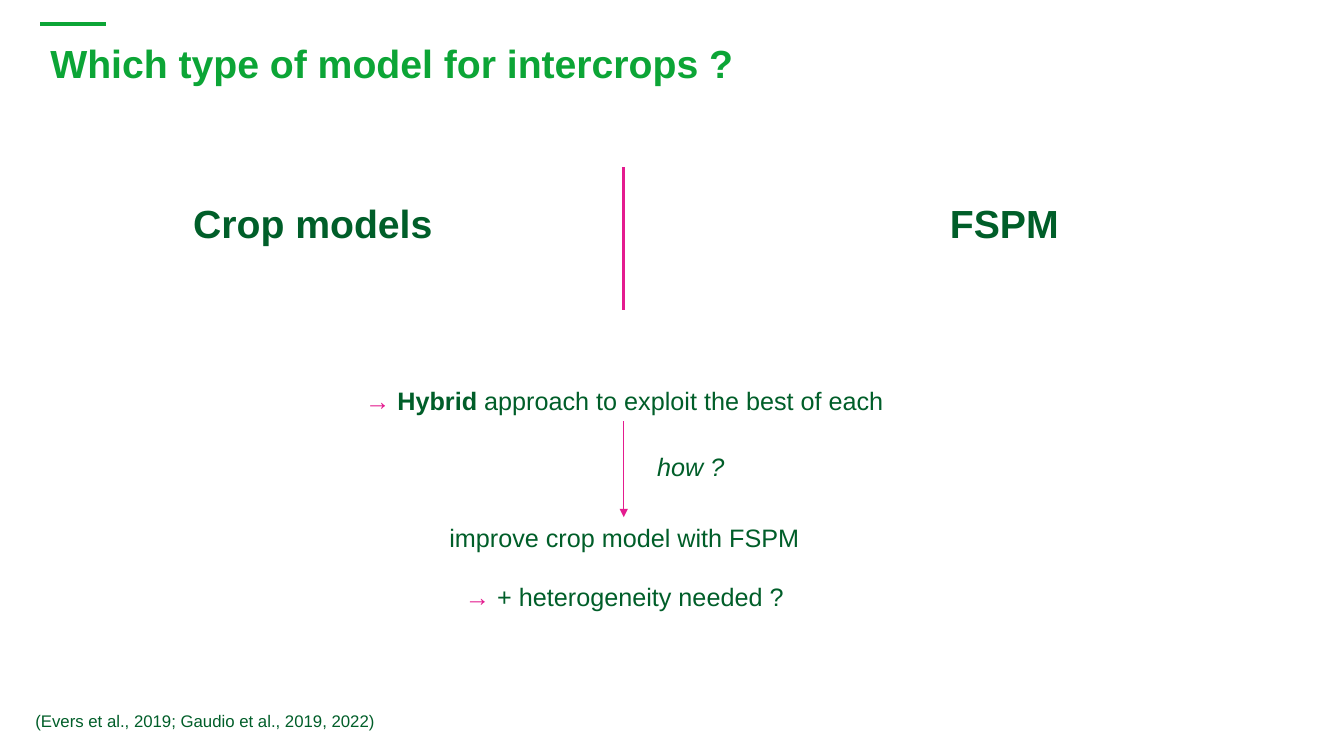
from lxml.etree import SubElement
from pptx import Presentation
from pptx.dml.color import RGBColor
from pptx.enum.shapes import MSO_CONNECTOR
from pptx.enum.text import PP_ALIGN
from pptx.oxml.ns import qn
from pptx.util import Cm, Pt

COLORS = {"title": "0CA536", "text": "005E29", "accent": "E41B8F"}
FONT = "Arial"
AXIS = 15.72  # shared by the divider and the arrow, in cm


def add_text(slide, left, top, width, height, paragraphs, size,
             align=PP_ALIGN.LEFT, spacing=1.0, gap=0):
    """Each paragraph is a list of (text, colour, style) runs; gap is in points."""
    s = slide.shapes.add_textbox(Cm(left), Cm(top), Cm(width), Cm(height))
    tf = s.text_frame
    tf.word_wrap = True
    for i, runs in enumerate(paragraphs):
        p = tf.add_paragraph() if i else tf.paragraphs[0]
        p.alignment = align
        p.line_spacing = spacing
        p.space_before = Pt(gap if i else 0)
        for text, color, style in runs:
            r = p.add_run()
            r.text = text
            r.font.name = FONT
            r.font.size = Pt(size)
            r.font.bold = style == "bold"
            r.font.italic = style == "italic"
            r.font.color.rgb = RGBColor.from_string(COLORS[color])


def add_line(slide, x1, y1, x2, y2, color, weight, arrow=False):
    line = slide.shapes.add_connector(
        MSO_CONNECTOR.STRAIGHT, Cm(x1), Cm(y1), Cm(x2), Cm(y2))
    line.line.color.rgb = RGBColor.from_string(COLORS[color])
    line.line.width = Pt(weight)
    if arrow:
        SubElement(line.line._get_or_add_ln(), qn("a:tailEnd"), type="triangle")
    SubElement(line._element.spPr, qn("a:effectLst"))


def add_header(slide, left, top, width, height):
    add_line(slide, left, top, left + 1.65, top, "title", 3)
    add_text(slide, left, top + 0.38, width, height - 0.38,
             [[("Which type of model for intercrops ?", "title", "bold")]],
             28, spacing=0.9)


def add_comparison(slide, left, top, width, height):
    """Two model families on either side of a divider."""
    add_line(slide, AXIS, top, AXIS, top + height, "accent", 2.25)
    sides = [("Crop models", left, 7.5, PP_ALIGN.LEFT),
             ("FSPM", left + width - 9.25, 9.25, PP_ALIGN.RIGHT)]
    for name, x, w, align in sides:
        add_text(slide, x, top + 0.81, w, height - 0.81,
                 [[(name, "text", "bold")]], 28, align, 0.9)


def add_approach(slide, left, top, width, height):
    """Hybrid idea, arrow with its question, and the outcome."""
    arrow_top, arrow_end = top + 1.04, top + 3.45
    add_text(slide, left, top, width, 1.02,
             [[("→ ", "accent", ""), ("Hybrid", "text", "bold"),
               (" approach to exploit the best of each", "text", "")]],
             18, PP_ALIGN.CENTER)
    add_line(slide, AXIS, arrow_top, AXIS, arrow_end, "accent", 0.5, arrow=True)
    add_text(slide, AXIS + 0.59, arrow_top + 0.63, 3.35, 1.02,
             [[("how ?", "text", "italic")]], 18)
    add_text(slide, left, arrow_end, width, height - 3.45,
             [[("improve crop model with FSPM", "text", "")],
              [("→", "accent", ""), (" + heterogeneity needed ?", "text", "")]],
             18, PP_ALIGN.CENTER, gap=21)


def add_citation(slide, left, top, width, height):
    add_text(slide, left, top, width, height,
             [[("(Evers et al., 2019; Gaudio et al., 2019, 2022)", "text", "")]], 12)


def main():
    prs = Presentation()
    prs.slide_width, prs.slide_height = Cm(33.87), Cm(19.05)
    slide = prs.slides.add_slide(prs.slide_layouts[6])
    add_header(slide, 1.02, 0.61, 30.12, 3)
    add_comparison(slide, 4.62, 4.22, 22.31, 3.6)
    add_approach(slide, 5.46, 9.58, 20.55, 6.02)
    add_citation(slide, 0.64, 17.78, 9.25, 0.76)
    prs.save("out.pptx")


if __name__ == "__main__":
    main()
